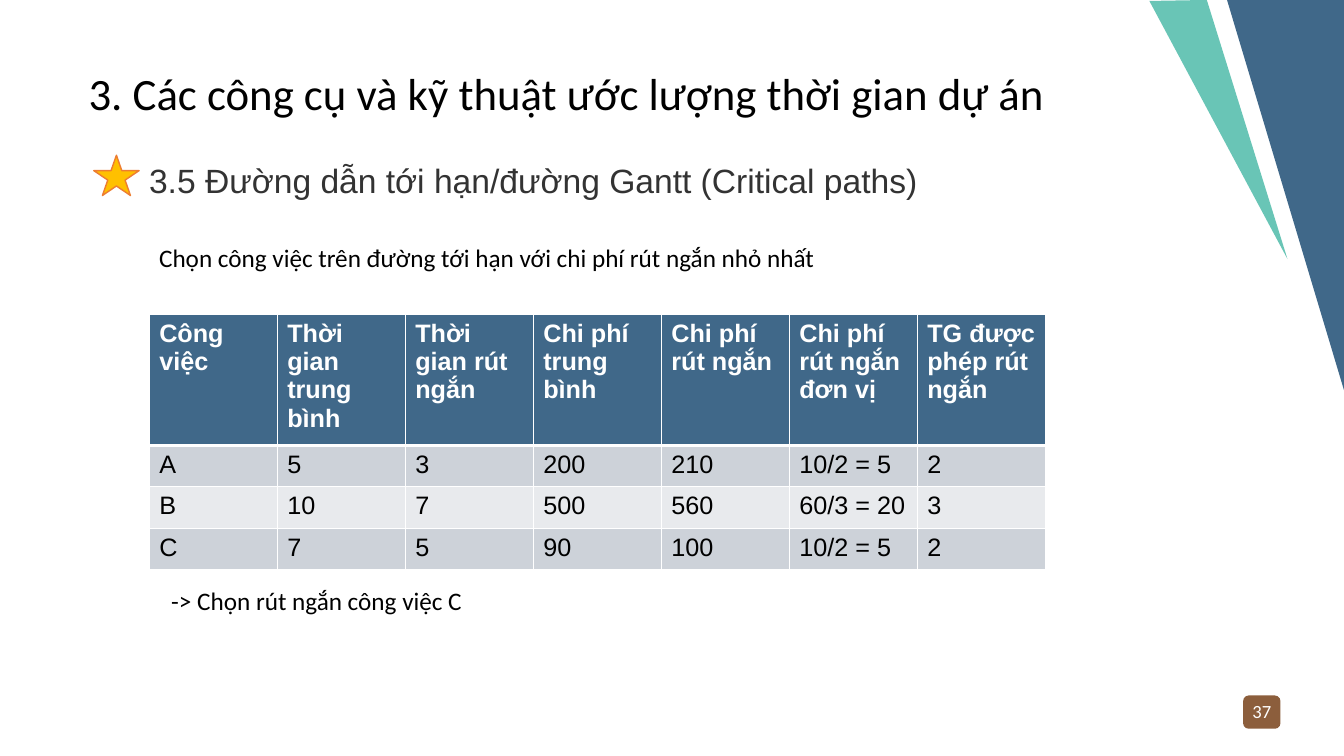
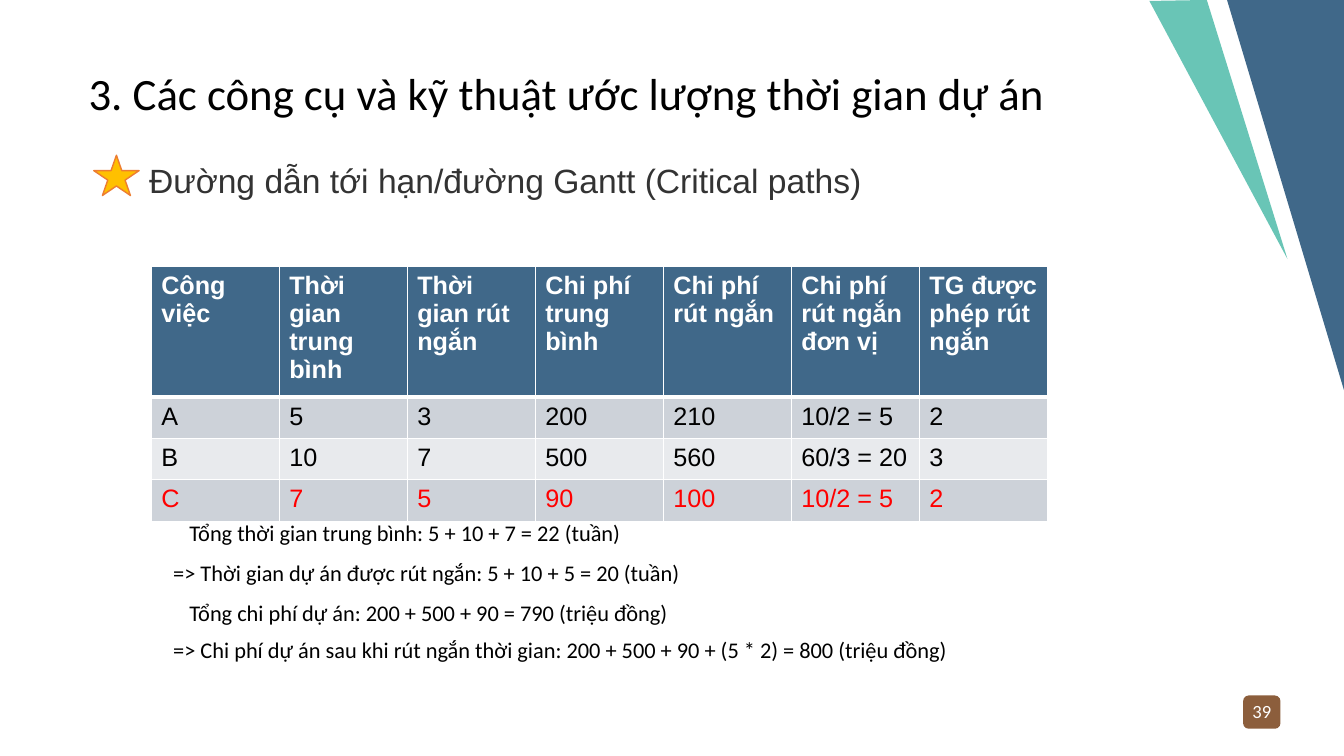
from dataclasses import dataclass

from lxml import etree
from pptx import Presentation
from pptx import util as u
from pptx.dml.color import RGBColor
from pptx.enum import shapes, text
from pptx.oxml import ns

PX = 9144  # EMU per px, 100 px to the inch


@dataclass(frozen=True)
class Theme:
    blue: str = "406889"
    teal: str = "69C5B6"
    brown: str = "8C5E3C"
    gold: str = "FFC000"
    orange: str = "ED7D31"
    white: str = "FFFFFF"
    black: str = "000000"
    grey: str = "333333"
    red: str = "FF0000"
    bands: tuple = ("CDD2D9", "E8EAED")
    body_font: str = "Calibri"
    table_font: str = "Arial"
    title: float = 32
    heading: float = 24
    body: float = 18
    small: float = 16
    number: float = 13.3


T = Theme()

TITLE = "3. Các công cụ và kỹ thuật ước lượng thời gian dự án"
HEADING = "Đường dẫn tới hạn/đường Gantt (Critical paths)"
HEADERS = ["Công việc", "Thời gian trung bình", "Thời gian rút ngắn", "Chi phí trung bình",
           "Chi phí rút ngắn", "Chi phí rút ngắn đơn vị", "TG được phép rút ngắn"]
TASKS = [["A", "5", "3", "200", "210", "10/2 = 5", "2"],
         ["B", "10", "7", "500", "560", "60/3 = 20", "3"],
         ["C", "7", "5", "90", "100", "10/2 = 5", "2"]]


def px(*lengths):
    return [u.Emu(n * PX) for n in lengths]


def write(frame, words, size=T.body, color=T.black, font=T.body_font, bold=False,
          align=text.PP_ALIGN.LEFT):
    """Put one formatted paragraph into a text frame."""
    frame.word_wrap = True
    paragraph = frame.paragraphs[0]
    paragraph.alignment = align
    run = paragraph.add_run()
    run.text = words
    run.font.size, run.font.name, run.font.bold = u.Pt(size), font, bold
    run.font.color.rgb = RGBColor.from_string(color)


def label(slide, box, words, **style):
    frame = slide.shapes.add_textbox(*px(*box)).text_frame
    write(frame, words, **style)
    return frame


def paint(shape, fill, line=None):
    shape.shadow.inherit = False
    shape.fill.solid()
    shape.fill.fore_color.rgb = RGBColor.from_string(fill)
    if line:
        shape.line.color.rgb = RGBColor.from_string(line)
        shape.line.width = u.Pt(1)
    else:
        shape.line.fill.background()


def corner_wedge(slide, corners, fill):
    builder = slide.shapes.build_freeform(*corners[0], scale=PX)
    builder.add_line_segments(corners[1:], close=True)
    paint(builder.convert_to_shape(), fill)


def page_badge(slide, box, number):
    left, top, width, height = box
    badge = slide.shapes.add_shape(shapes.MSO_SHAPE.ROUNDED_RECTANGLE, *px(*box))
    paint(badge, T.brown)
    frame = label(slide, (left, top + 4, width, height - 11), number, size=T.number,
                  color=T.white, align=text.PP_ALIGN.CENTER)
    frame.margin_left = frame.margin_right = frame.margin_top = frame.margin_bottom = 0


def star_heading(slide, box, words):
    left, top, width, height = box
    star_width = 45
    star = slide.shapes.add_shape(shapes.MSO_SHAPE.STAR_5_POINT,
                                  *px(left, top, star_width, 40))
    paint(star, T.gold, T.orange)
    label(slide, (left + star_width, top, width - star_width, height), words,
          size=T.heading, color=T.grey, font=T.table_font)


def base_slide(deck, number, heading):
    """Add a slide with the corner wedges, badge, title and heading."""
    slide = deck.slides.add_slide(deck.slide_layouts[6])
    page_badge(slide, (1233, 690, 37, 33), number)
    corner_wedge(slide, [(1217, 0), (1333, 0), (1333, 387)], T.blue)
    corner_wedge(slide, [(1197, 0), (1277, 257), (1140, 1)], T.teal)
    label(slide, (78, 60, 980, 64), TITLE, size=T.title)
    star_heading(slide, (93, 154, 852, 50), heading)
    return slide


def cell_borders(cell, bottom):
    """Draw white cell edges; only the bottom width varies."""
    properties = cell._tc.get_or_add_tcPr()
    for edge, width in (("lnL", 1), ("lnR", 1), ("lnT", 1), ("lnB", bottom)):
        line = etree.SubElement(properties, ns.qn(f"a:{edge}"), w=str(u.Pt(width)))
        fill = etree.SubElement(line, ns.qn("a:solidFill"))
        etree.SubElement(fill, ns.qn("a:srgbClr"), val=T.white)


def cost_table(slide, left, top, marked=None):
    """Draw the task table, with the marked task in red."""
    column, header, row = 127, 128, 41
    rows = [HEADERS] + TASKS
    table = slide.shapes.add_table(
        len(rows), len(HEADERS),
        *px(left, top, column * len(HEADERS), header + row * len(TASKS))).table
    table.horz_banding = False
    for part in table.columns:
        part.width = u.Emu(column * PX)
    for r, values in enumerate(rows):
        is_header = r == 0
        table.rows[r].height = u.Emu((header if is_header else row) * PX)
        color = T.white if is_header else T.red if values[0] == marked else T.black
        for c, value in enumerate(values):
            cell = table.cell(r, c)
            # The line under the header and the top of the first task are one edge
            cell_borders(cell, bottom=3 if is_header else 1)
            cell.fill.solid()
            cell.fill.fore_color.rgb = RGBColor.from_string(
                T.blue if is_header else T.bands[(r - 1) % 2])
            write(cell.text_frame, value, color=color, font=T.table_font, bold=is_header)


def choice_slide(deck):
    slide = base_slide(deck, "37", "3.5 " + HEADING)
    label(slide, (148, 235, 784, 40),
          "Chọn công việc trên đường tới hạn với chi phí rút ngắn nhỏ nhất")
    cost_table(slide, 148, 312)
    label(slide, (160, 576, 312, 40), "-> Chọn rút ngắn công việc C")


def result_slide(deck):
    slide = base_slide(deck, "39", HEADING)
    cost_table(slide, 150, 264, marked="C")
    results = [
        (178, 510, "Tổng thời gian trung bình: 5 + 10 + 7 = 22 (tuần)"),
        (162, 550, "=> Thời gian dự án được rút ngắn: 5 + 10 + 5 = 20 (tuần)"),
        (178, 589, "Tổng chi phí dự án: 200 + 500 + 90 = 790 (triệu đồng)"),
        (162, 626, "=> Chi phí dự án sau khi rút ngắn thời gian: "
                   "200 + 500 + 90 + (5 * 2) = 800 (triệu đồng)"),
    ]
    for left, top, words in results:
        label(slide, (left, top, 807, 37), words, size=T.small)


def main():
    deck = Presentation()
    deck.slide_width, deck.slide_height = px(1333, 750)
    choice_slide(deck)
    result_slide(deck)
    deck.save("out.pptx")


if __name__ == "__main__":
    main()
